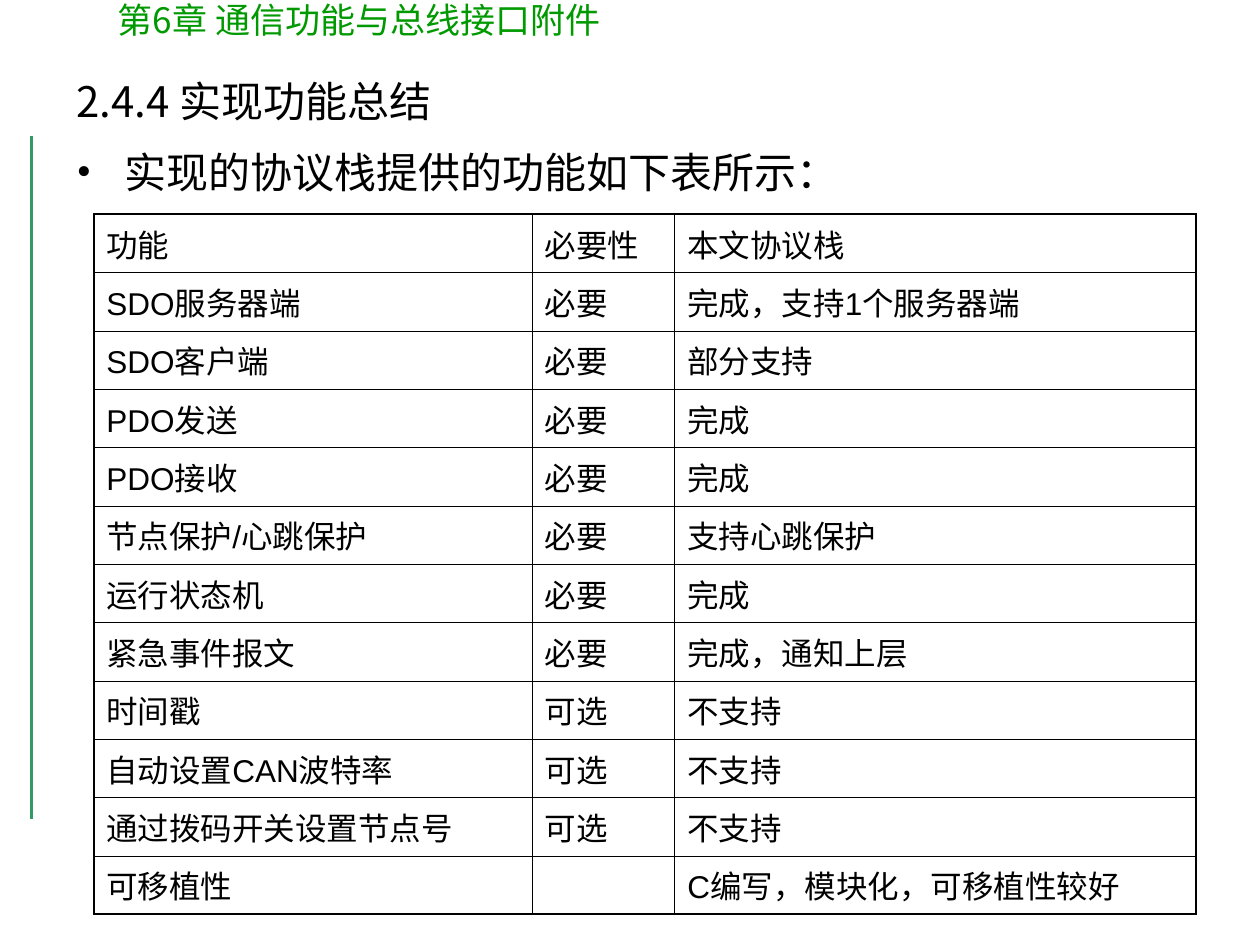
from lxml.etree import SubElement
from pptx import Presentation
from pptx.dml.color import RGBColor as Color
from pptx.enum.shapes import MSO_CONNECTOR as Connector
from pptx.enum.text import MSO_ANCHOR as Anchor
from pptx.oxml.ns import qn
from pptx.util import Inches, Pt

COLORS = {"ink": "000000", "chapter": "009900", "rule": "339966"}
CJK_FONT = "Noto Sans CJK SC"
OUTER, INNER = 1.08, 0.45

FEATURES = [
    ("功能", "必要性", "本文协议栈"),
    ("SDO服务器端", "必要", "完成，支持1个服务器端"),
    ("SDO客户端", "必要", "部分支持"),
    ("PDO发送", "必要", "完成"),
    ("PDO接收", "必要", "完成"),
    ("节点保护/心跳保护", "必要", "支持心跳保护"),
    ("运行状态机", "必要", "完成"),
    ("紧急事件报文", "必要", "完成，通知上层"),
    ("时间戳", "可选", "不支持"),
    ("自动设置CAN波特率", "可选", "不支持"),
    ("通过拨码开关设置节点号", "可选", "不支持"),
    ("可移植性", "", "C编写，模块化，可移植性较好"),
]


class SlideBuilder:
    COLUMNS, ROWS = 100, 75

    def __init__(self, deck):
        self.deck = deck
        self.page = deck.slides.add_slide(deck.slide_layouts[6])

    def across(self, columns):
        return round(self.deck.slide_width * columns / self.COLUMNS)

    def down(self, rows):
        return round(self.deck.slide_height * rows / self.ROWS)

    def style(self, para, size, font, color="ink"):
        for target in (para, *para.runs):
            target.font.size = Pt(size)
            target.font.name = font
            target.font.color.rgb = Color.from_string(COLORS[color])
        for span in para.runs:
            SubElement(span.font._element, qn("a:ea"), typeface=CJK_FONT)

    def rule(self, column, top, bottom):
        line = self.page.shapes.add_connector(
            Connector.STRAIGHT, self.across(column), self.down(top),
            self.across(column), self.down(bottom))
        line.line.color.rgb = Color.from_string(COLORS["rule"])
        line.line.width = Pt(2.25)
        SubElement(line._element.spPr, qn("a:effectLst"))

    def text(self, words, left, top, width, height, size, font=CJK_FONT,
             color="ink", anchor=Anchor.TOP):
        box = self.page.shapes.add_textbox(
            self.across(left), self.down(top), self.across(width), self.down(height))
        frame = box.text_frame
        frame.word_wrap = True
        frame.vertical_anchor = anchor
        frame.text = words
        para = frame.paragraphs[0]
        self.style(para, size, font, color)
        return para

    def bullet(self, words, left, top, width, height, size, font):
        para = self.text(words, left, top, width, height, size, font)
        para.line_spacing = 1.3
        properties = para._p.get_or_add_pPr()
        indent = Inches(0.38)
        properties.set("marL", str(indent))
        properties.set("indent", str(-indent))
        defaults = properties.find(qn("a:defRPr"))
        for tag, values in (("a:buFont", {"typeface": font}), ("a:buChar", {"char": "•"})):
            defaults.addprevious(SubElement(properties, qn(tag), **values))

    def border(self, cell, side, width):
        properties = cell._tc.get_or_add_tcPr()
        line = SubElement(properties, qn(f"a:ln{side}"), w=str(Pt(width)))
        fill = SubElement(line, qn("a:solidFill"))
        SubElement(fill, qn("a:srgbClr"), val=COLORS["ink"])

    def table(self, records, left, top, widths, row_height, size, font):
        last_row, last_column = len(records) - 1, len(widths) - 1
        table = self.page.shapes.add_table(
            len(records), len(widths), self.across(left), self.down(top),
            self.across(sum(widths)), self.down(row_height * len(records))).table
        table.first_row = table.horz_banding = False
        for column, width in zip(table.columns, widths):
            column.width = self.across(width)
        for r, record in enumerate(records):
            table.rows[r].height = self.down(row_height)
            for c, words in enumerate(record):
                cell = table.cell(r, c)
                cell.text = words
                self.style(cell.text_frame.paragraphs[0], size, font)
                edges = {"L": c == 0, "R": c == last_column,
                         "T": r == 0, "B": r == last_row}
                for side, outside in edges.items():
                    self.border(cell, side, OUTER if outside else INNER)
                cell.fill.background()


def main():
    deck = Presentation()
    deck.slide_width, deck.slide_height = Inches(10), Inches(7.5)
    slide = SlideBuilder(deck)
    slide.rule(2.5, 10.8, 65)
    slide.text("第6章 通信功能与总线接口附件", 8.35, -0.6, 57.5, 4.4, 20, color="chapter")
    slide.text("2.4.4 实现功能总结", 5.1, 4.4, 78.3, 7.1, 24, anchor=Anchor.MIDDLE)
    slide.bullet("实现的协议栈提供的功能如下表所示：", 5.1, 9.9, 90, 6.7, 24, "Times New Roman")
    slide.table(FEATURES, 7.45, 17, (34.8, 11.3, 41.4), 4.63, 18, "Arial")
    deck.save("out.pptx")


if __name__ == "__main__":
    main()
